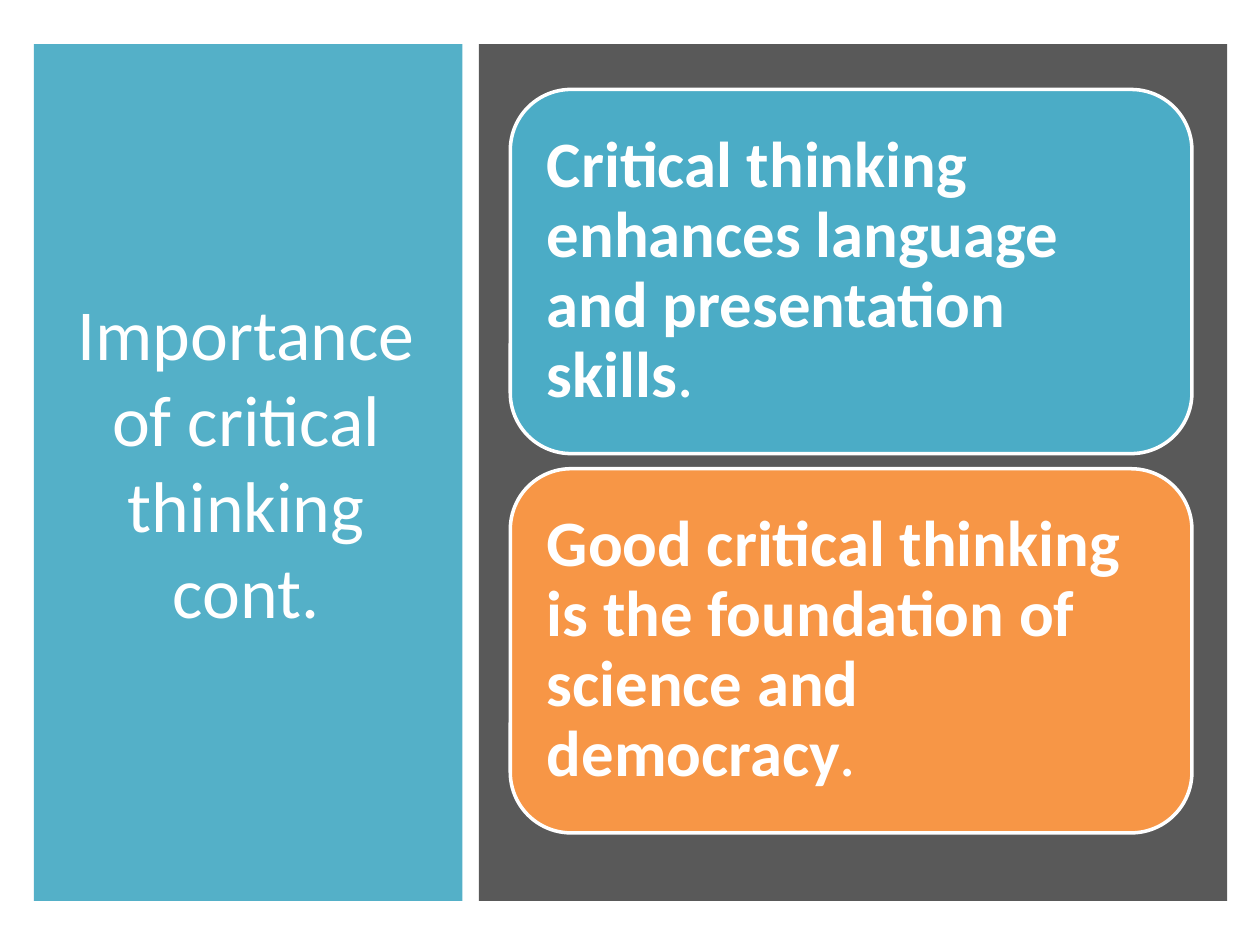
from lxml import etree
from pptx import Presentation
from pptx.dml.color import RGBColor
from pptx.enum.shapes import MSO_SHAPE
from pptx.enum.text import MSO_ANCHOR, PP_ALIGN
from pptx.oxml.ns import qn
from pptx.util import Inches, Pt

TEAL = RGBColor(0x4B, 0xAC, 0xC6)
ORANGE = RGBColor(0xF7, 0x96, 0x46)
GRAY = RGBColor(0x59, 0x59, 0x59)
WHITE = RGBColor(0xFF, 0xFF, 0xFF)


class Deck:
    font = "Calibri"
    title_size = Pt(41)
    card_size = Pt(37)
    card_inset = Inches(0.15)

    def __init__(self, slide):
        self.s = slide

    def shape(self, kind, box, color):
        sp = self.s.shapes.add_shape(kind, *map(Inches, box))
        sp.shadow.inherit = False
        sp.fill.solid()
        sp.fill.fore_color.rgb = color
        sp.line.fill.background()
        return sp

    def panel(self, box, color, opacity=100):
        sp = self.shape(MSO_SHAPE.RECTANGLE, box, color)
        if opacity < 100:
            clr = sp._element.spPr.find(qn("a:solidFill"))[0]
            etree.SubElement(clr, qn("a:alpha"), val=str(opacity * 1000))

    def style(self, r, size, bold=False):
        r.font.name = self.font
        r.font.size = size
        r.font.bold = bold
        r.font.color.rgb = WHITE

    def title(self, box, text):
        tf = self.s.shapes.add_textbox(*map(Inches, box)).text_frame
        tf.word_wrap = True
        tf.vertical_anchor = MSO_ANCHOR.MIDDLE
        tf.text = text
        p = tf.paragraphs[0]
        p.alignment = PP_ALIGN.CENTER
        self.style(p.runs[0], self.title_size)

    def card(self, box, color, text):
        sp = self.shape(MSO_SHAPE.ROUNDED_RECTANGLE, box, color)
        sp.line.color.rgb = WHITE
        sp.line.width = Pt(2)
        tf = sp.text_frame
        tf.word_wrap = True
        tf.vertical_anchor = MSO_ANCHOR.MIDDLE
        tf.margin_left = tf.margin_right = self.card_inset
        tf.margin_top = tf.margin_bottom = self.card_inset
        p = tf.paragraphs[0]
        p.alignment = PP_ALIGN.LEFT
        p.line_spacing = 0.9
        # Bold statement, regular full stop
        for part, bold in ((text, True), (".", False)):
            r = p.add_run()
            r.text = part
            self.style(r, self.card_size, bold)


def main():
    prs = Presentation()
    prs.slide_width, prs.slide_height = Inches(10), Inches(7.5)
    deck = Deck(prs.slides.add_slide(prs.slide_layouts[6]))

    # Title panel
    deck.panel((0.27, 0.35, 3.4, 6.8), TEAL, opacity=95)
    deck.title((0.43, 0.64, 3.05, 6.04), "Importance of critical thinking cont.")

    # Statement cards on the dark panel
    deck.panel((3.8, 0.35, 5.94, 6.8), GRAY)
    cards = [
        (TEAL, "Critical thinking enhances language and presentation skills"),
        (ORANGE, "Good critical thinking is the foundation of science and democracy"),
    ]
    top, height, gap = 0.71, 2.89, 0.12
    for i, (color, text) in enumerate(cards):
        deck.card((4.05, top + i * (height + gap), 5.41, height), color, text)

    prs.save("out.pptx")


if __name__ == "__main__":
    main()
